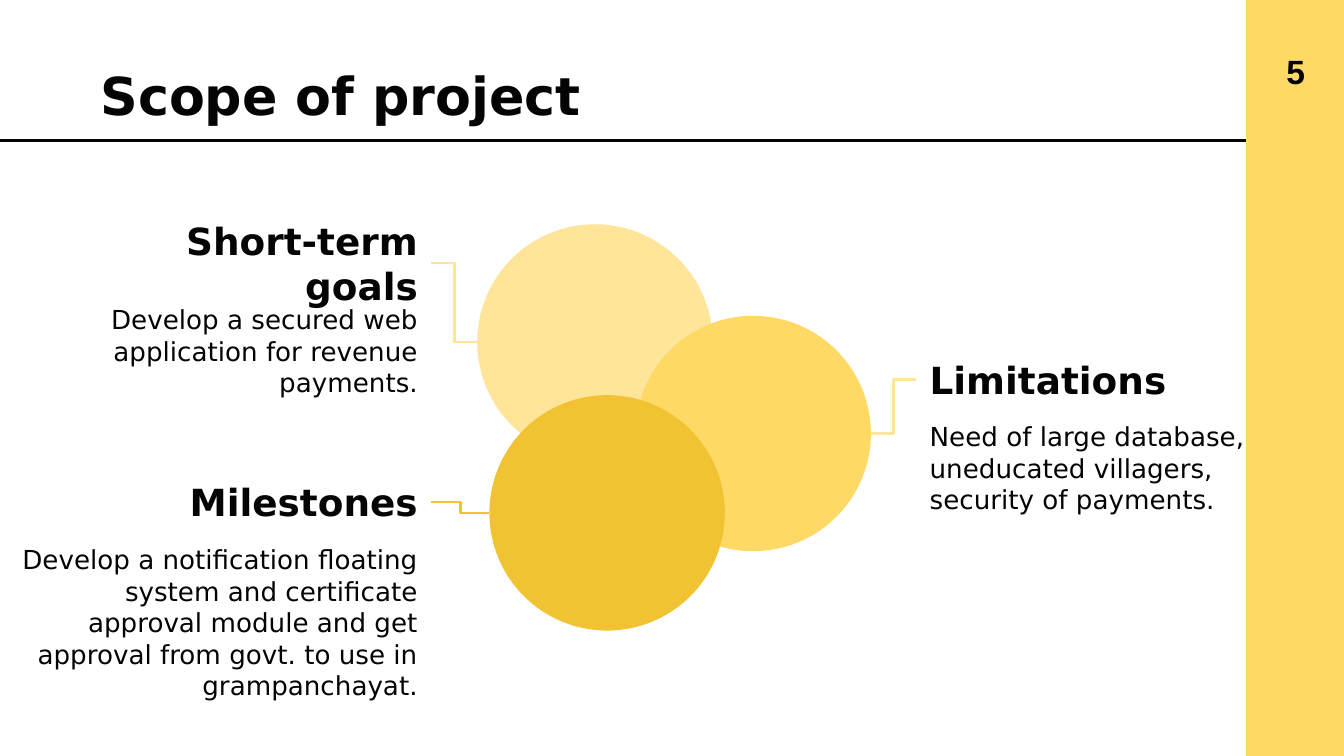
import pptx
import pptx.dml.color
import pptx.enum.shapes
import pptx.enum.text
import pptx.oxml
import pptx.oxml.ns
import pptx.util

Cm = pptx.util.Cm
Pt = pptx.util.Pt
ALIGN = pptx.enum.text.PP_ALIGN
ANCHOR = pptx.enum.text.MSO_ANCHOR
SHAPE = pptx.enum.shapes.MSO_SHAPE
CONNECTOR = pptx.enum.shapes.MSO_CONNECTOR

WIDTH, HEIGHT = 25.4, 14.29
INK, PALE, GOLD, AMBER = "040404", "FFE599", "FFD966", "F1C232"


def color(value):
    return pptx.dml.color.RGBColor.from_string(value)


class SlideBuilder:
    font = "DejaVu Sans"
    inset = 0.25

    def __init__(self, slide):
        self.slide = slide

    def fill_text(self, frame, text, size, bold, align, anchor, font, ink):
        frame.word_wrap = True
        frame.auto_size = pptx.enum.text.MSO_AUTO_SIZE.NONE
        frame.vertical_anchor = anchor
        frame.margin_left = frame.margin_right = Cm(self.inset)
        frame.margin_top = frame.margin_bottom = Cm(self.inset)
        paragraph = frame.paragraphs[0]
        paragraph.alignment = align
        run = paragraph.add_run()
        run.text = text
        run.font.name = font or self.font
        run.font.size = Pt(size)
        run.font.bold = bold
        run.font.color.rgb = color(ink)

    def title(self, text, left, top, width, height):
        title = self.slide.shapes.title
        title.left, title.top = Cm(left), Cm(top)
        title.width, title.height = Cm(width), Cm(height)
        self.fill_text(title.text_frame, text, 28, True, ALIGN.LEFT,
                       ANCHOR.TOP, None, INK)

    def text(self, text, left, top, width, height, size, bold=False,
             align=ALIGN.LEFT, anchor=ANCHOR.TOP, font=None, ink=INK):
        box = self.slide.shapes.add_textbox(Cm(left), Cm(top), Cm(width), Cm(height))
        self.fill_text(box.text_frame, text, size, bold, align, anchor, font, ink)

    def shape(self, kind, left, top, width, height, fill):
        shape = self.slide.shapes.add_shape(kind, Cm(left), Cm(top), Cm(width), Cm(height))
        shape.shadow.inherit = False
        shape.fill.solid()
        shape.fill.fore_color.rgb = color(fill)
        shape.line.fill.background()

    def line(self, kind, x1, y1, x2, y2, stroke):
        line = self.slide.shapes.add_connector(kind, Cm(x1), Cm(y1), Cm(x2), Cm(y2))
        line.line.color.rgb = color(stroke)
        line.line.width = Pt(1.5)
        properties = line._element.find(pptx.oxml.ns.qn("p:spPr"))
        properties.append(pptx.oxml.parse_xml(
            "<a:effectLst %s/>" % pptx.oxml.ns.nsdecls("a")))


def main():
    deck = pptx.Presentation()
    deck.slide_width, deck.slide_height = Cm(WIDTH), Cm(HEIGHT)
    builder = SlideBuilder(deck.slides.add_slide(deck.slide_layouts[5]))

    # Title and rule
    builder.line(CONNECTOR.STRAIGHT, 0, 2.65, WIDTH, 2.65, INK)
    builder.title("Scope of project", 1.65, 0.94, 14.1, 1.88)

    # Topics: heading, body, alignment, heading box, body box (left, top, width),
    # circle (left, top), circle fill, link colour
    topics = [
        ("Short-term goals",
         "Develop a secured web application for revenue payments.",
         ALIGN.RIGHT, (2.21, 4.17, 5.94), (0, 5.49, 8.15),
         (9.02, 4.24), PALE, PALE),
        ("Limitations",
         "Need of large database, uneducated villagers, security of payments.",
         ALIGN.LEFT, (17.32, 6.38, 5.16), (17.32, 7.7, 6.88),
         (12.01, 5.97), GOLD, PALE),
        ("Milestones",
         "Develop a notification floating system and certificate approval module "
         "and get approval from govt. to use in grampanchayat.",
         ALIGN.RIGHT, (2.51, 8.69, 5.64), (-0.15, 10.03, 8.3),
         (9.25, 7.47), AMBER, AMBER),
    ]
    diameter, heading_height, body_height = 4.45, 1.6, 2.44

    for heading, body, align, heading_box, body_box, circle, fill, _ in topics:
        builder.text(heading, *heading_box, heading_height, 20, bold=True,
                     align=align, anchor=ANCHOR.MIDDLE)
        builder.text(body, *body_box, body_height, 14, align=align)
        builder.shape(SHAPE.OVAL, *circle, diameter, diameter, fill)

    # Links from the middle of each heading's inner side to its circle
    for _, _, align, (left, top, width), _, (x, y), _, stroke in topics:
        on_left = align == ALIGN.RIGHT
        start = left + width if on_left else left
        end = x if on_left else x + diameter
        builder.line(CONNECTOR.ELBOW, start, top + heading_height / 2,
                     end, y + diameter / 2, stroke)

    # Side band with page number
    band_left = 23.55
    builder.shape(SHAPE.RECTANGLE, band_left, 0, WIDTH - band_left, HEIGHT, GOLD)
    builder.text("5", 23.98, 0.79, 1.02, 1.09, 18, bold=True, align=ALIGN.CENTER,
                 anchor=ANCHOR.MIDDLE, font="Arial", ink="000000")

    deck.save("out.pptx")


if __name__ == "__main__":
    main()
